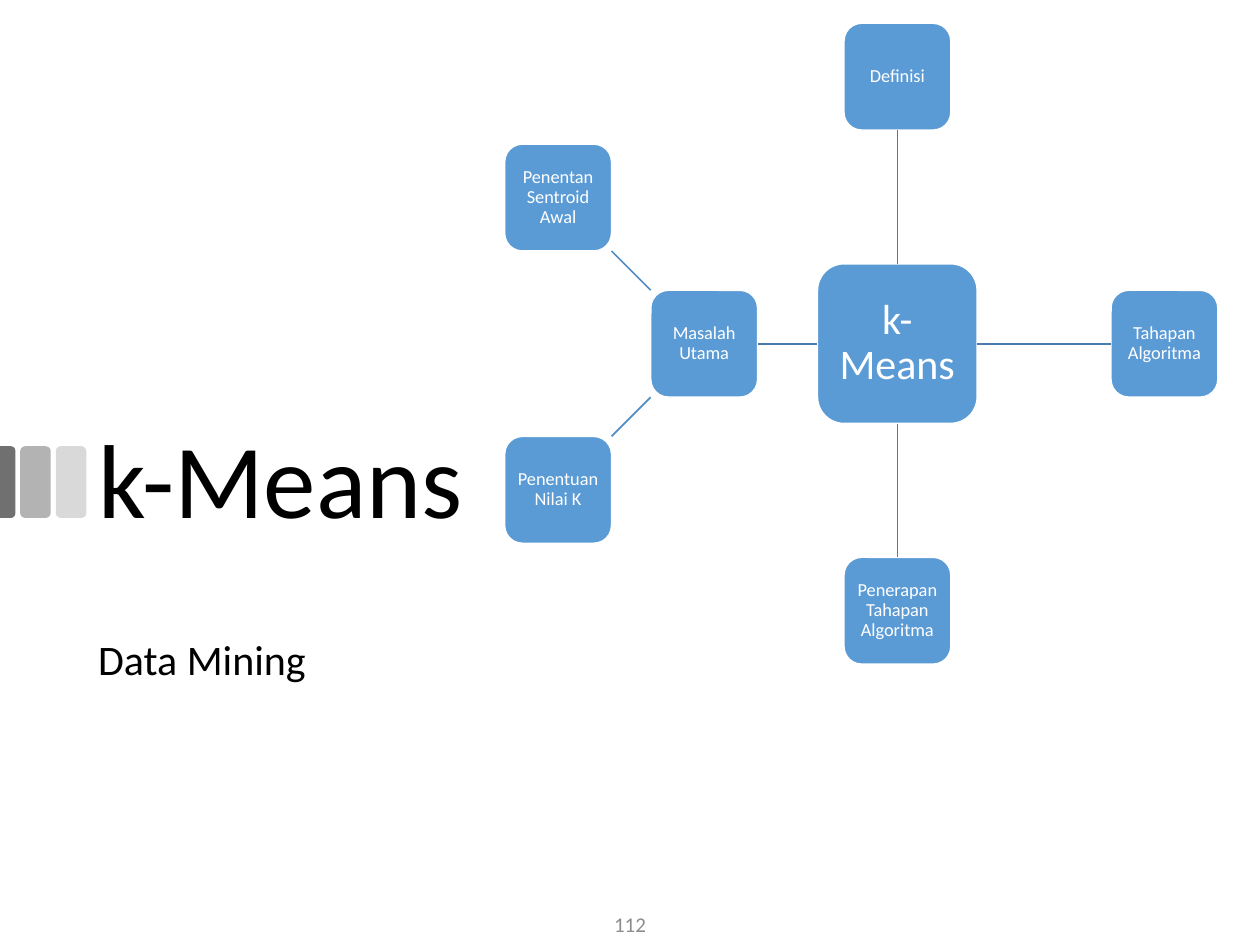
import pptx
import pptx.util
import pptx.dml.color
import pptx.enum.shapes
import pptx.enum.text
import pptx.oxml.ns
import lxml.etree

Pt = pptx.util.Pt
SHAPE = pptx.enum.shapes.MSO_SHAPE
ALIGN = pptx.enum.text.PP_ALIGN
ANCHOR = pptx.enum.text.MSO_ANCHOR
TOP, LEFT, BOTTOM, RIGHT = range(4)


def colour(hex_text):
    return pptx.dml.color.RGBColor.from_string(hex_text)


def write(box, text, size, hex_text, align, anchor=ANCHOR.MIDDLE, spacing=0.9):
    frame = box.text_frame
    frame.word_wrap = True
    frame.auto_size = pptx.enum.text.MSO_AUTO_SIZE.NONE
    frame.vertical_anchor = anchor
    para = frame.paragraphs[0]
    para.alignment = align
    para.line_spacing = spacing
    span = para.add_run()
    span.text = text
    span.font.name = "Calibri"
    span.font.size = Pt(size)
    span.font.color.rgb = colour(hex_text)


def add_filled(page, kind, left, top, width, height, fill):
    shape = page.shapes.add_shape(kind, Pt(left), Pt(top), Pt(width), Pt(height))
    shape.shadow.inherit = False
    shape.fill.solid()
    shape.fill.fore_color.rgb = colour(fill)
    shape.line.fill.background()
    return shape


def add_tabs(page, left, top, width, height):
    """Three grey tabs; the first is cut by the slide's edge."""
    half = width / 2
    # The half tab lies on its side, so its round corners face right
    tab = add_filled(page, SHAPE.ROUND_2_SAME_RECTANGLE,
                     left + (half - height) / 2, top + (height - half) / 2,
                     height, half, "707070")
    tab.rotation = 90
    tab.adjustments[0] = 0.29
    for index, fill in enumerate(("B3B3B3", "D9D9D9")):
        add_filled(page, SHAPE.ROUNDED_RECTANGLE, left + 11.5 + index * 20.4,
                   top, width, height, fill)


def add_headings(page, left, top, width):
    title = page.shapes.title
    title.left, title.top, title.width, title.height = (
        Pt(left), Pt(top), Pt(width), Pt(165))
    write(title, "k-Means", 60, "000000", ALIGN.LEFT)
    subtitle = page.shapes.add_textbox(Pt(left), Pt(top + 167), Pt(width), Pt(118))
    write(subtitle, "Data Mining", 24, "000000", ALIGN.LEFT, ANCHOR.TOP)


def add_node(page, centre_x, centre_y, side, text, size, inset):
    node = add_filled(page, SHAPE.ROUNDED_RECTANGLE, centre_x - side / 2,
                      centre_y - side / 2, side, side, "5B9BD5")
    node.line.color.rgb = colour("FFFFFF")
    node.line.width = Pt(1)
    frame = node.text_frame
    frame.margin_left = frame.margin_right = Pt(inset)
    frame.margin_top = frame.margin_bottom = Pt(inset)
    write(node, text, size, "FFFFFF", ALIGN.CENTER)
    return node


def add_line(page, hex_text, x1=0, y1=0, x2=0, y2=0):
    line = page.shapes.add_connector(pptx.enum.shapes.MSO_CONNECTOR.STRAIGHT,
                                     Pt(x1), Pt(y1), Pt(x2), Pt(y2))
    line.line.color.rgb = colour(hex_text)
    line.line.width = Pt(1)
    properties = line._element.spPr
    lxml.etree.SubElement(properties, pptx.oxml.ns.qn("a:effectLst"))
    return line


def add_mind_map(page, centre_x, centre_y):
    side, reach, short_reach, branch = 61.2, 152.6, 110.4, 83.5
    hub = add_node(page, centre_x, centre_y, 91.4, "k-Means", 24, 5)

    # Spokes: text, offset from the hub, side of the hub, side of the node
    spokes = [
        ("Definisi", 0, -reach, TOP, BOTTOM),
        ("Tahapan Algoritma", reach, 0, RIGHT, LEFT),
        ("Penerapan Tahapan Algoritma", 0, reach, BOTTOM, TOP),
        ("Masalah Utama", -short_reach, 0, LEFT, RIGHT),
    ]
    for text, across, down, hub_side, node_side in spokes:
        node = add_node(page, centre_x + across, centre_y + down, side, text, 10.5, 2)
        line = add_line(page, "497CAB")
        line.begin_connect(hub, hub_side)
        line.end_connect(node, node_side)

    # Branches run from corner to corner of the left node
    parent_x = centre_x - short_reach
    for text, sign in (("Penentuan Nilai K", 1), ("Penentan Sentroid Awal", -1)):
        add_node(page, parent_x - branch, centre_y + sign * branch, side, text, 10.5, 2)
        near, far = side / 2, branch - side / 2
        add_line(page, "538DC1", parent_x - near, centre_y + sign * near,
                 parent_x - far, centre_y + sign * far)


def add_page_number(page, left, top, width, height):
    box = page.shapes.add_textbox(Pt(left), Pt(top), Pt(width), Pt(height))
    write(box, "112", 12, "8C8C8C", ALIGN.CENTER, spacing=1)


def main():
    deck = pptx.Presentation()
    deck.slide_width, deck.slide_height = Pt(720), Pt(540)
    page = deck.slides.add_slide(deck.slide_layouts[5])
    add_tabs(page, 0, 255, 17.5, 41)
    add_headings(page, 49, 194.5, 620.5)
    add_mind_map(page, 512.8, 196.4)
    add_page_number(page, 279, 516, 162, 24)
    deck.save("out.pptx")


if __name__ == "__main__":
    main()
